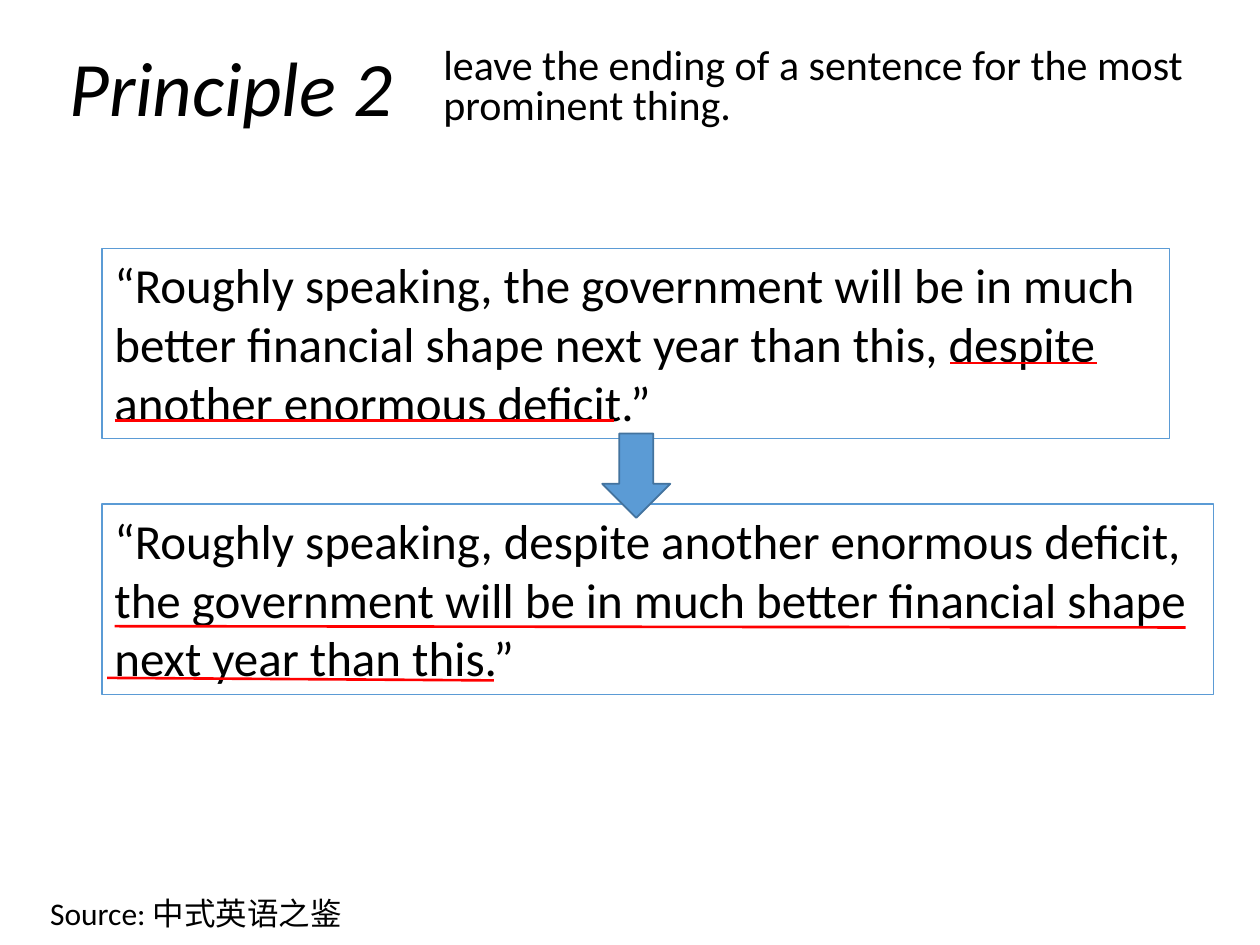
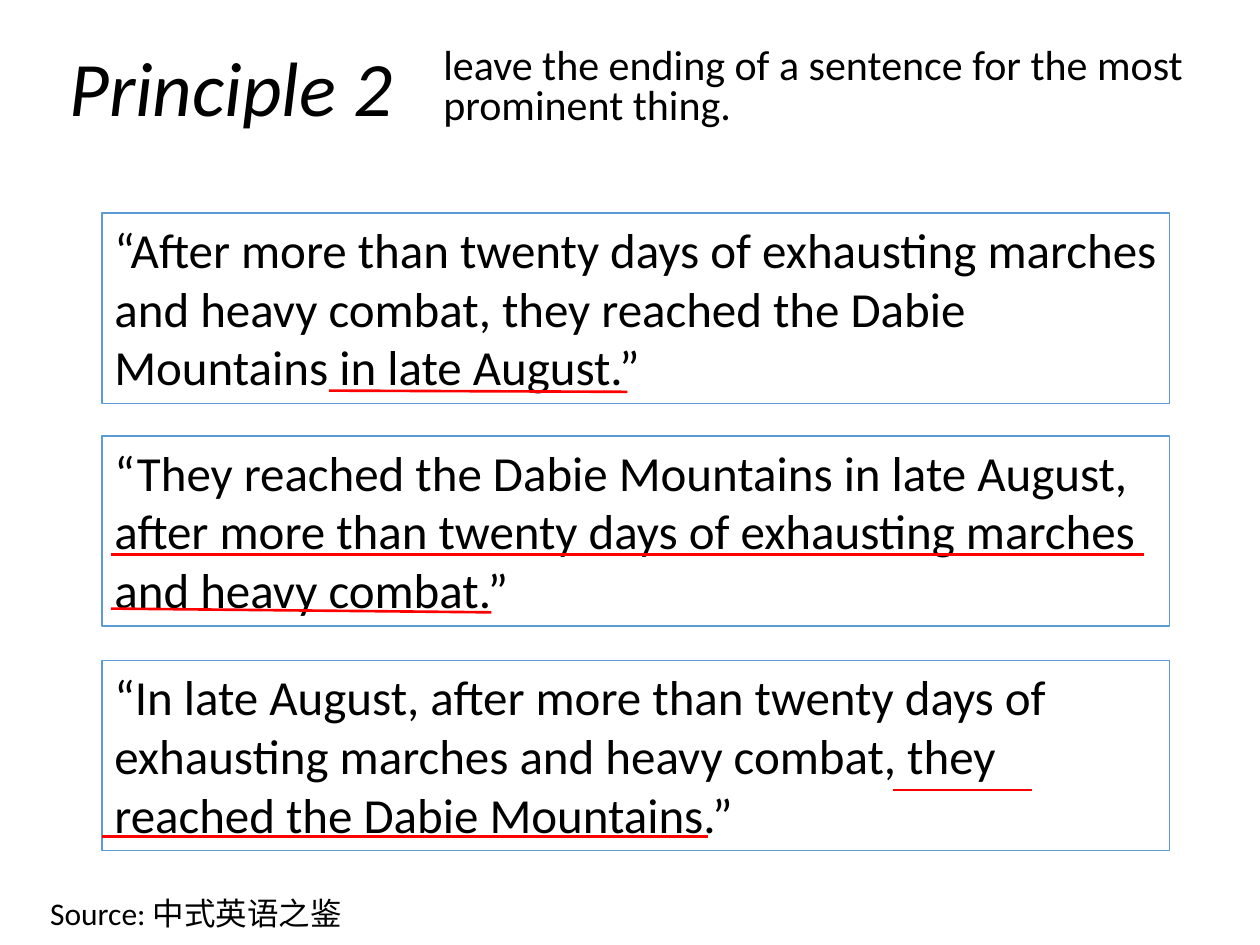
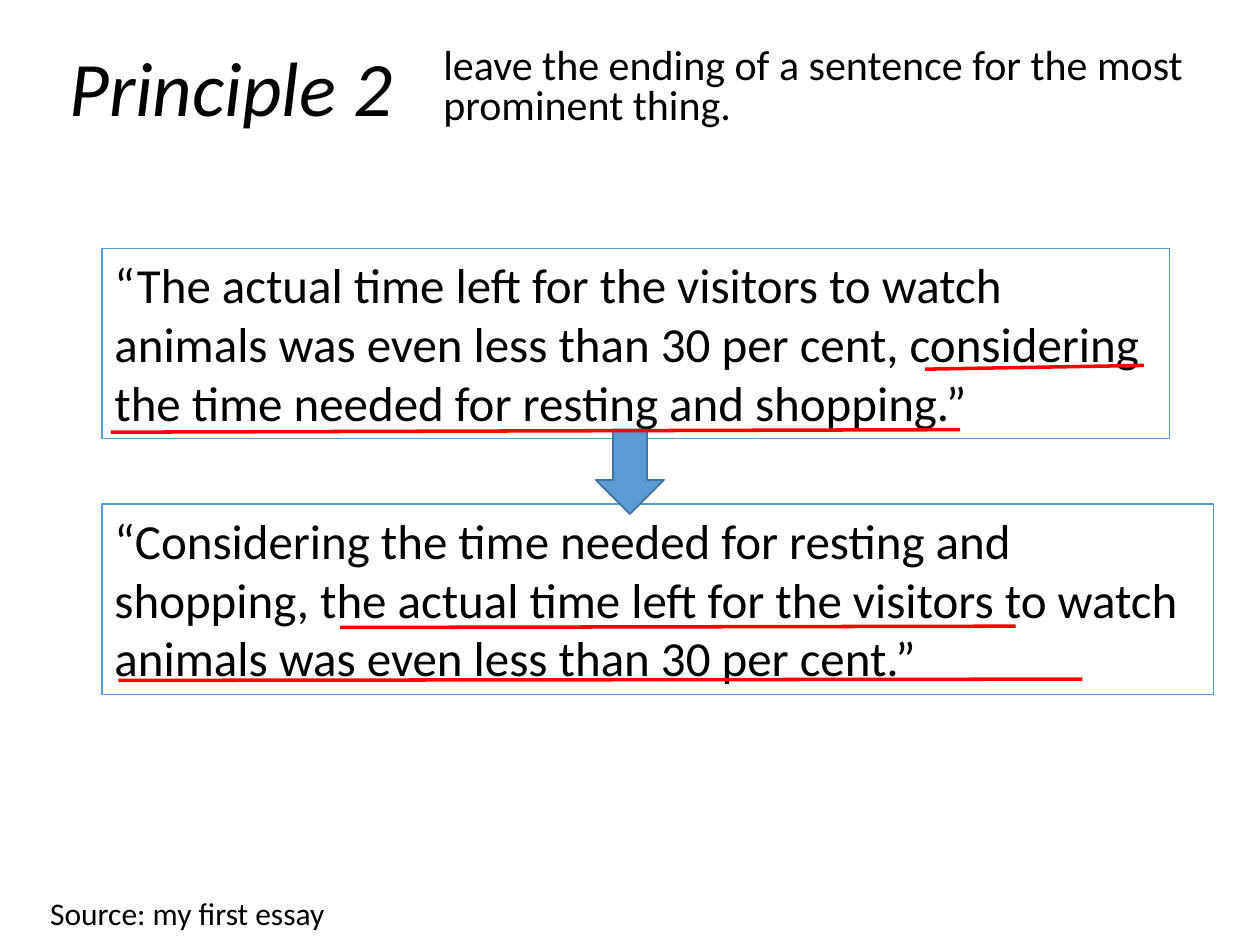
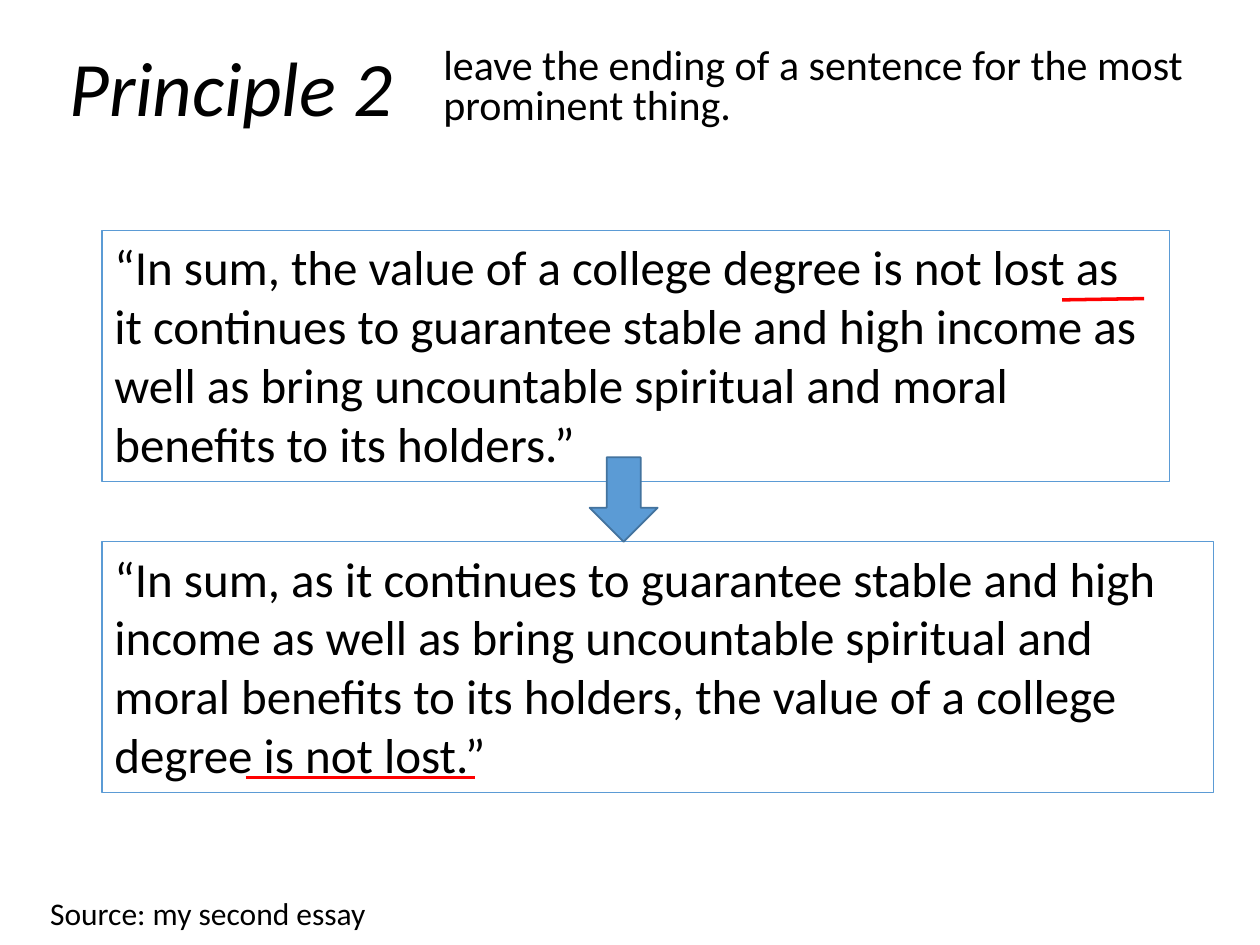
from dataclasses import dataclass

from lxml import etree
from pptx import Presentation
from pptx.dml.color import RGBColor
from pptx.enum.shapes import MSO_CONNECTOR, MSO_SHAPE
from pptx.enum.text import MSO_ANCHOR, MSO_AUTO_SIZE, PP_ALIGN
from pptx.oxml.ns import qn
from pptx.util import Inches, Pt

STRAIGHT = MSO_CONNECTOR.STRAIGHT
DOWN_ARROW = MSO_SHAPE.DOWN_ARROW
MIDDLE = MSO_ANCHOR.MIDDLE
LEFT = PP_ALIGN.LEFT
GROW = MSO_AUTO_SIZE.SHAPE_TO_FIT_TEXT
FIXED = MSO_AUTO_SIZE.NONE
TITLE_ONLY = 5


@dataclass(frozen=True)
class Theme:
    font: str = "Calibri"
    text: RGBColor = RGBColor(0, 0, 0)
    accent: RGBColor = RGBColor(0x5B, 0x9B, 0xD5)
    arrow_edge: RGBColor = RGBColor(0x43, 0x73, 0x9E)
    marker: RGBColor = RGBColor(0xFF, 0, 0)
    title_size: int = 44
    principle_size: int = 24
    quote_size: int = 28
    source_size: int = 18


THEME = Theme()

TITLE = "Principle 2"
PRINCIPLE = "leave the ending of a sentence for the most prominent thing."
QUOTE_LEFT, NARROW, WIDE = 0.81, 8.47, 8.82
THREE_LINES, FOUR_LINES = 1.51, 1.99

# Each quote: top, width, height, text
# Each underline: start x, start y, end x, end y
PAGES = [
    {
        "source": "Source: 中式英语之鉴",
        "quotes": [
            (1.97, NARROW, THREE_LINES,
             "“Roughly speaking, the government will be in much better financial "
             "shape next year than this, despite another enormous deficit.”"),
            (4, WIDE, THREE_LINES,
             "“Roughly speaking, despite another enormous deficit, the government "
             "will be in much better financial shape next year than this.”"),
        ],
        "arrow": (4.78, 3.44),
        "weight": 1.5,
        "underlines": [
            (7.54, 2.88, 8.71, 2.88), (0.91, 3.34, 4.87, 3.34),
            (0.91, 4.97, 9.41, 4.98), (0.85, 5.38, 3.92, 5.4),
        ],
    },
    {
        "source": "Source: 中式英语之鉴",
        "quotes": [
            (1.69, NARROW, THREE_LINES,
             "“After more than twenty days of exhausting marches and heavy combat, "
             "they reached the Dabie Mountains in late August.”"),
            (3.46, NARROW, THREE_LINES,
             "“They reached the Dabie Mountains in late August, after more than "
             "twenty days of exhausting marches and heavy combat.”"),
            (5.24, NARROW, THREE_LINES,
             "“In late August, after more than twenty days of exhausting marches "
             "and heavy combat, they reached the Dabie Mountains.”"),
        ],
        "arrow": None,
        "weight": 1.5,
        "underlines": [
            (2.61, 3.1, 4.98, 3.11),
            (0.88, 4.4, 9.08, 4.4), (0.88, 4.83, 3.9, 4.86),
            (7.09, 6.27, 8.19, 6.27), (0.81, 6.64, 5.62, 6.64),
        ],
    },
    {
        "source": "Source: my first essay",
        "quotes": [
            (1.97, NARROW, THREE_LINES,
             "“The actual time left for the visitors to watch animals was even less "
             "than 30 per cent, considering the time needed for resting and "
             "shopping.”"),
            (4, WIDE, THREE_LINES,
             "“Considering the time needed for resting and shopping, the actual "
             "time left for the visitors to watch animals was even less than 30 "
             "per cent.”"),
        ],
        "arrow": (4.73, 3.41),
        "weight": 2,
        "underlines": [
            (7.34, 2.93, 9.08, 2.9), (0.88, 3.43, 7.62, 3.41),
            (2.7, 4.98, 8.06, 4.97), (0.94, 5.4, 8.59, 5.39),
        ],
    },
    {
        "source": "Source: my second essay",
        "quotes": [
            (1.83, NARROW, FOUR_LINES,
             "“In sum, the value of a college degree is not lost as it continues to "
             "guarantee stable and high income as well as bring uncountable "
             "spiritual and moral benefits to its holders.”"),
            (4.3, WIDE, FOUR_LINES,
             "“In sum, as it continues to guarantee stable and high income as well "
             "as bring uncountable spiritual and moral benefits to its holders, "
             "the value of a college degree is not lost.”"),
        ],
        "arrow": (4.68, 3.63),
        "weight": 2,
        "underlines": [(8.43, 2.38, 9.08, 2.37), (1.95, 6.17, 3.77, 6.17)],
    },
]


def write(box, text, size, fit=GROW):
    """Fill a box with one paragraph in the shared type style."""
    frame = box.text_frame
    frame.word_wrap = True
    frame.auto_size = fit
    para = frame.paragraphs[0]
    para.text = text
    para.alignment = LEFT
    para.font.name = THEME.font
    para.font.size = Pt(size)
    para.font.color.rgb = THEME.text
    return para


def add_text(page, left, top, width, height, text, size, fit=GROW):
    box = page.shapes.add_textbox(
        Inches(left), Inches(top), Inches(width), Inches(height))
    return box, write(box, text, size, fit)


def add_heading(page):
    title = page.shapes.title
    title.left, title.top = Inches(0.45), Inches(0)
    title.width, title.height = Inches(8.62), Inches(1.45)
    para = write(title, TITLE, THEME.title_size, FIXED)
    title.text_frame.vertical_anchor = MIDDLE
    para.font.italic = True
    para.line_spacing = 0.9

    _, para = add_text(page, 3.42, 0.33, 6.58, 0.81,
                       PRINCIPLE, THEME.principle_size, FIXED)
    para.line_spacing = 0.8
    para.space_before = Pt(10)


def add_quote(page, top, width, height, text):
    box, _ = add_text(page, QUOTE_LEFT, top, width, height,
                      text, THEME.quote_size)
    box.line.color.rgb = THEME.accent
    box.line.width = Pt(0.75)


def add_arrow(page, left, top):
    arrow = page.shapes.add_shape(
        DOWN_ARROW, Inches(left), Inches(top), Inches(0.54), Inches(0.67))
    arrow.shadow.inherit = False
    arrow.fill.solid()
    arrow.fill.fore_color.rgb = THEME.accent
    arrow.line.color.rgb = THEME.arrow_edge
    arrow.line.width = Pt(1)


def add_underline(page, ends, weight):
    line = page.shapes.add_connector(STRAIGHT, *map(Inches, ends))
    line.line.color.rgb = THEME.marker
    line.line.width = Pt(weight)
    etree.SubElement(line._element.spPr, qn("a:effectLst"))


def add_page(deck, content):
    page = deck.slides.add_slide(deck.slide_layouts[TITLE_ONLY])
    add_heading(page)
    for quote in content["quotes"]:
        add_quote(page, *quote)
    if content["arrow"]:
        add_arrow(page, *content["arrow"])
    for ends in content["underlines"]:
        add_underline(page, ends, content["weight"])
    add_text(page, 0.3, 7.05, 4.16, 0.4, content["source"], THEME.source_size)


def main():
    deck = Presentation()
    deck.slide_width, deck.slide_height = Inches(10), Inches(7.5)
    for content in PAGES:
        add_page(deck, content)
    deck.save("out.pptx")


if __name__ == "__main__":
    main()
